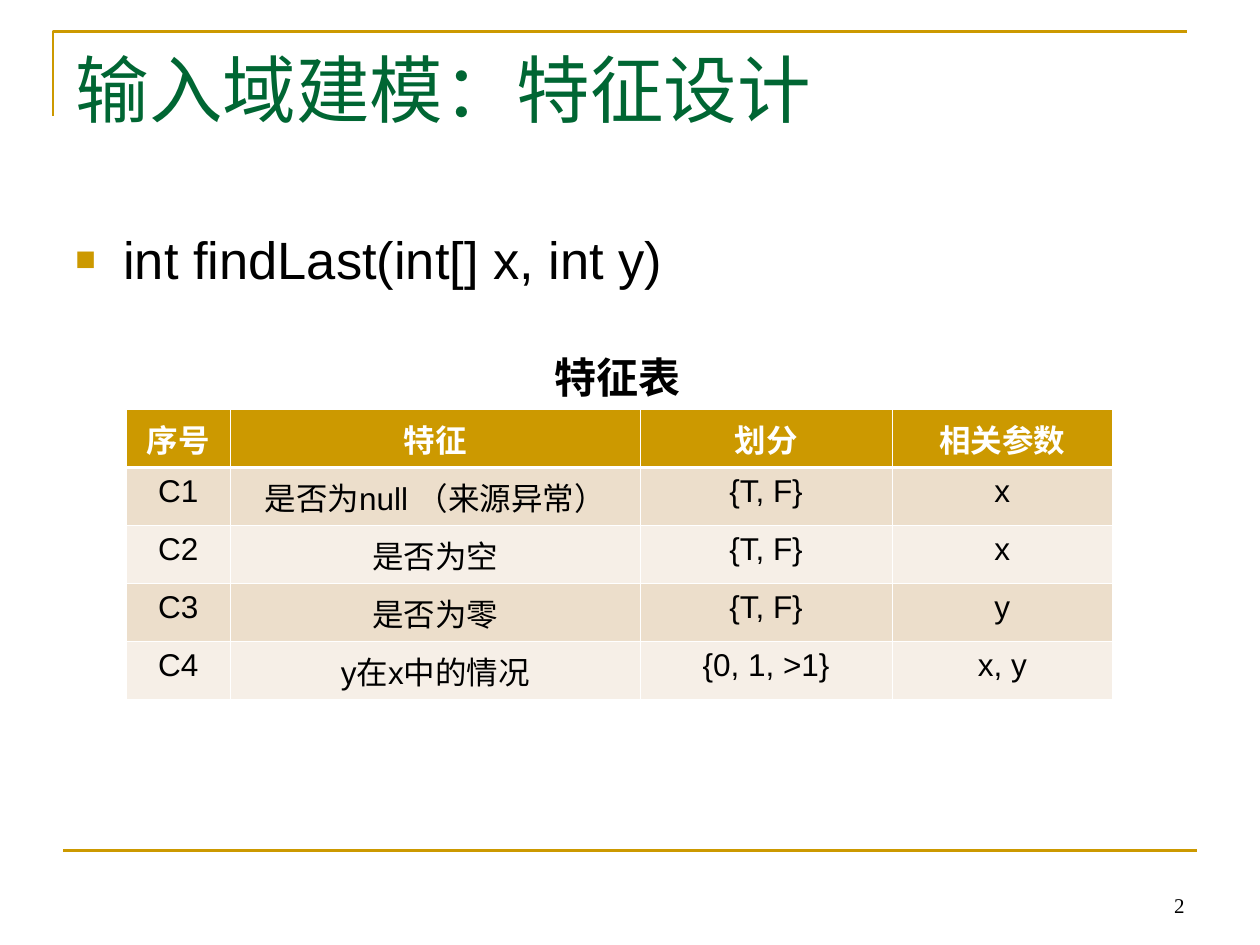
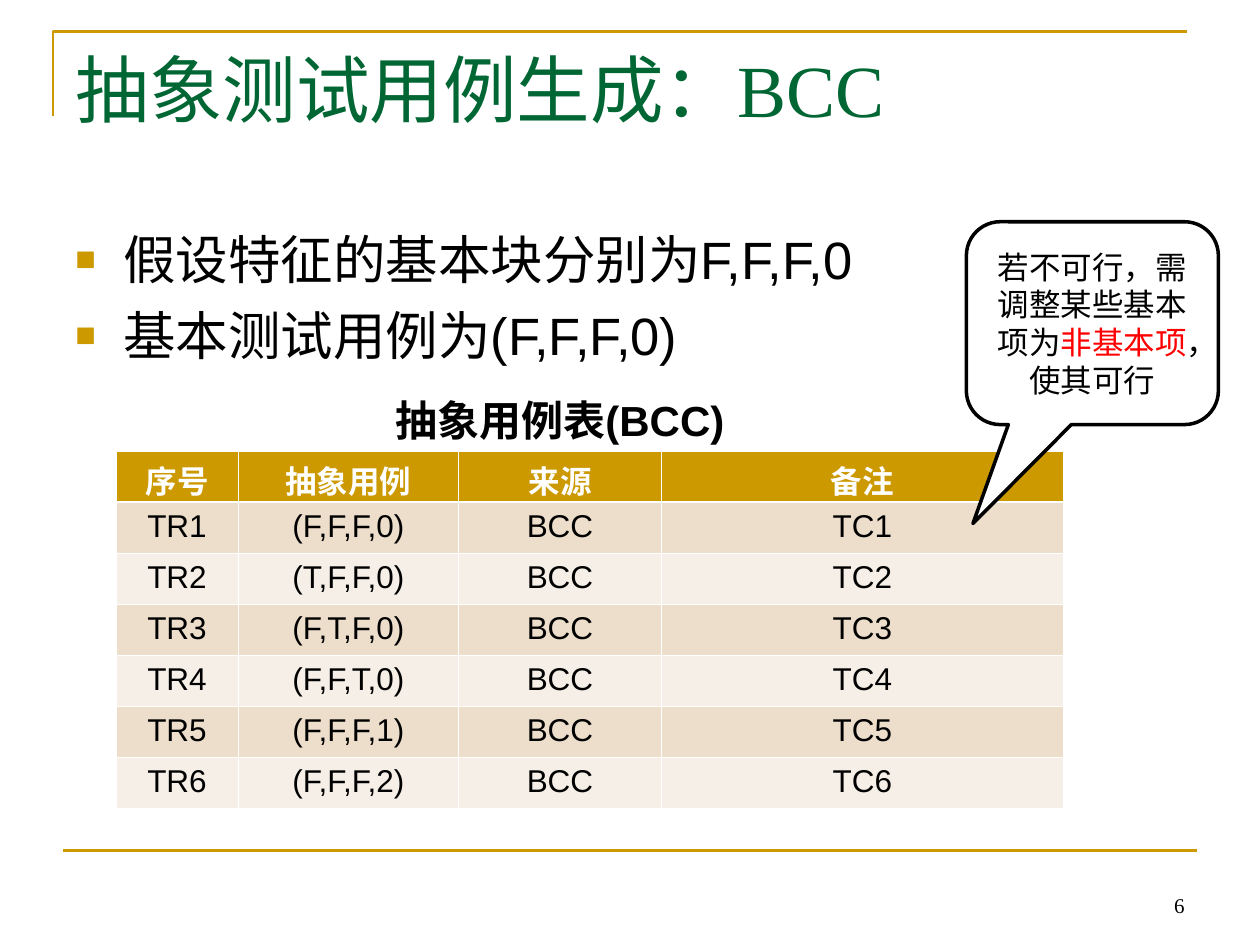
from dataclasses import dataclass
from typing import NamedTuple

from lxml.etree import SubElement as Sub
from pptx import Presentation
from pptx.dml.color import RGBColor as Rgb
from pptx.enum.shapes import MSO_CONNECTOR as Link, MSO_SHAPE as Kind
from pptx.enum.text import MSO_ANCHOR as Anchor, MSO_AUTO_SIZE as Fit, PP_ALIGN as Align
from pptx.oxml.ns import qn
from pptx.util import Inches, Pt


@dataclass(frozen=True)
class Theme:
    """Colours, fonts and type sizes of the deck."""
    gold: str = "CC9900"
    green: str = "006633"
    black: str = "000000"
    white: str = "FFFFFF"
    red: str = "FF0000"
    bands: tuple = ("ECDECB", "F6EFE7")
    sans: str = "Arial"
    serif: str = "Times New Roman"
    title: int = 42
    body: int = 30
    label: int = 24
    cell: int = 18
    page: int = 12


class Box(NamedTuple):
    """A region in inches."""
    x: float
    y: float
    w: float
    h: float

    def size(self):
        """Return the four lengths for a shape call."""
        return [Inches(n) for n in self]


THEME = Theme()
FRAME = Box(0.42, 0.25, 9, 0.67)
RULE = Box(0.5, 6.75, 9, 0)
TITLE = Box(0.5, 0.3, 9, 1.25)
PAGE = Box(7.17, 6.83, 2.33, 0.5)


def add_run(para, text, size, color=THEME.black, face=THEME.sans, bold=False):
    """Append one formatted run to a paragraph."""
    run = para.add_run()
    run.text = text
    font = run.font
    font.size, font.name, font.bold = Pt(size), face, bold
    font.color.rgb = Rgb.from_string(color)


def ink(line, color, width):
    """Set the colour and width of a line."""
    line.color.rgb = Rgb.from_string(color)
    line.width = Pt(width)


def add_box(slide, box, wrap=True):
    """Add a text box and return its frame."""
    frame = slide.shapes.add_textbox(*box.size()).text_frame
    frame.word_wrap = wrap
    return frame


def add_frame(slide, box):
    """Draw the corner line along the left and top of the box."""
    x, y, w, h = box.size()
    pen = slide.shapes.build_freeform(x, y + h)
    pen.add_line_segments([(x, y), (x + w, y)], close=False)
    edge = pen.convert_to_shape()
    edge.fill.background()
    edge.shadow.inherit = False
    ink(edge.line, THEME.gold, 1.5)


def add_rule(slide, box):
    """Draw the line above the footer."""
    x, y, w, h = box.size()
    rule = slide.shapes.add_connector(Link.STRAIGHT, x, y, x + w, y + h)
    Sub(rule.element.spPr, qn("a:effectLst"))
    ink(rule.line, THEME.gold, 1.5)


def set_title(slide, box, text):
    """Place and fill the title."""
    title = slide.shapes.title
    title.left, title.top, title.width, title.height = box.size()
    frame = title.text_frame
    frame.auto_size, frame.vertical_anchor = Fit.NONE, Anchor.TOP
    para = frame.paragraphs[0]
    para.alignment = Align.LEFT
    add_run(para, text, THEME.title, THEME.green, THEME.serif)


def add_page(slide, box, number):
    """Add the page number at the lower right."""
    frame = add_box(slide, box)
    frame.vertical_anchor = Anchor.BOTTOM
    para = frame.paragraphs[0]
    para.alignment = Align.RIGHT
    add_run(para, str(number), THEME.page, face=THEME.serif)


def add_bullet(para):
    """Give a paragraph a hanging gold square."""
    props = para._p.get_or_add_pPr()
    props.set("marL", str(Inches(0.38)))
    props.set("indent", str(-Inches(0.38)))
    tint = Sub(props, qn("a:buClr"))
    Sub(tint, qn("a:srgbClr"), val=THEME.gold)
    Sub(props, qn("a:buSzPct"), val="65000")
    Sub(props, qn("a:buFont"), typeface=THEME.sans)
    Sub(props, qn("a:buChar"), char="■")


def add_points(slide, box, points):
    """Add the list of main points."""
    frame = add_box(slide, box)
    for index, text in enumerate(points):
        para = frame.add_paragraph() if index else frame.paragraphs[0]
        add_bullet(para)
        if index:
            para.space_before = Pt(7.5)
        add_run(para, text, THEME.body)


def add_label(slide, box, text):
    """Add the bold heading of a table."""
    frame = add_box(slide, box, wrap=False)
    frame.auto_size = Fit.SHAPE_TO_FIT_TEXT
    add_run(frame.paragraphs[0], text, THEME.label, bold=True)


def set_edges(cell, row):
    """Draw white cell borders, thicker under the header row."""
    props = cell._tc.get_or_add_tcPr()
    thick = {"T": row == 1, "B": row == 0}
    for side in "LRTB":
        width = 1.47 if thick.get(side) else 0.45
        line = Sub(props, qn(f"a:ln{side}"), w=str(Pt(width)))
        Sub(Sub(line, qn("a:solidFill")), qn("a:srgbClr"), val=THEME.white)


def add_grid(slide, box, widths, rows):
    """Add a table with a gold header and banded rows."""
    grid = slide.shapes.add_table(len(rows), len(widths), *box.size()).table
    for column, width in zip(grid.columns, widths):
        column.width = Inches(width)
    for r, texts in enumerate(rows):
        grid.rows[r].height = Inches(box.h / len(rows))
        fill = THEME.bands[(r - 1) % 2] if r else THEME.gold
        color = THEME.black if r else THEME.white
        for c, text in enumerate(texts):
            cell = grid.cell(r, c)
            set_edges(cell, r)
            cell.fill.solid()
            cell.fill.fore_color.rgb = Rgb.from_string(fill)
            para = cell.text_frame.paragraphs[0]
            para.alignment = Align.CENTER
            add_run(para, text, THEME.cell, color, bold=r == 0)


def add_note(slide, box, parts):
    """Add the speech bubble that points at the table."""
    note = slide.shapes.add_shape(Kind.ROUNDED_RECTANGULAR_CALLOUT, *box.size())
    for index, value in enumerate((-0.474, 0.988, 0.167)):
        note.adjustments[index] = value
    note.shadow.inherit = False
    note.fill.solid()
    note.fill.fore_color.rgb = Rgb.from_string(THEME.white)
    ink(note.line, THEME.black, 2)
    frame = note.text_frame
    frame.word_wrap, frame.vertical_anchor = True, Anchor.MIDDLE
    para = frame.paragraphs[0]
    para.alignment = Align.CENTER
    for text, color in parts:
        add_run(para, text, THEME.cell, color)


def add_slide(deck, title, number):
    """Add a slide with the shared frame, title and footer."""
    slide = deck.slides.add_slide(deck.slide_layouts[5])
    add_frame(slide, FRAME)
    add_rule(slide, RULE)
    set_title(slide, TITLE, title)
    add_page(slide, PAGE, number)
    return slide


def add_traits(deck):
    """Build the slide on the design of traits."""
    slide = add_slide(deck, "输入域建模：特征设计", 2)
    add_points(slide, Box(0.5, 1.75, 9, 4.95), ["int findLast(int[] x, int y)"])
    add_grid(slide, Box(1, 3.25, 7.83, 2.3), (0.83, 3.25, 2, 1.75), [
        ("序号", "特征", "划分", "相关参数"),
        ("C1", "是否为null （来源异常）", "{T, F}", "x"),
        ("C2", "是否为空", "{T, F}", "x"),
        ("C3", "是否为零", "{T, F}", "y"),
        ("C4", "y在x中的情况", "{0, 1, >1}", "x, y"),
    ])
    add_label(slide, Box(4.3, 2.74, 1.2, 0.5), "特征表")


def add_cases(deck):
    """Build the slide on abstract test cases."""
    slide = add_slide(deck, "抽象测试用例生成：BCC", 6)
    cases = ("F,F,F,0", "T,F,F,0", "F,T,F,0", "F,F,T,0", "F,F,F,1", "F,F,F,2")
    rows = [(f"TR{n}", f"({case})", "BCC", f"TC{n}") for n, case in enumerate(cases, 1)]
    add_grid(slide, Box(0.92, 3.58, 7.52, 2.84), (0.97, 1.75, 1.61, 3.19),
             [("序号", "抽象用例", "来源", "备注"), *rows])
    add_label(slide, Box(3.04, 3.08, 2.98, 0.5), "抽象用例表(BCC)")
    add_points(slide, Box(0.5, 1.75, 9, 1.41),
               ["假设特征的基本块分别为F,F,F,0", "基本测试用例为(F,F,F,0)"])
    add_note(slide, Box(7.67, 1.76, 2, 1.61), [
        ("若不可行，需调整某些基本项为", THEME.black),
        ("非基本项", THEME.red),
        ("，使其可行", THEME.black),
    ])


def main():
    """Build and save the deck."""
    deck = Presentation()
    deck.slide_width, deck.slide_height = Inches(10), Inches(7.5)
    add_traits(deck)
    add_cases(deck)
    deck.save("out.pptx")


if __name__ == "__main__":
    main()
